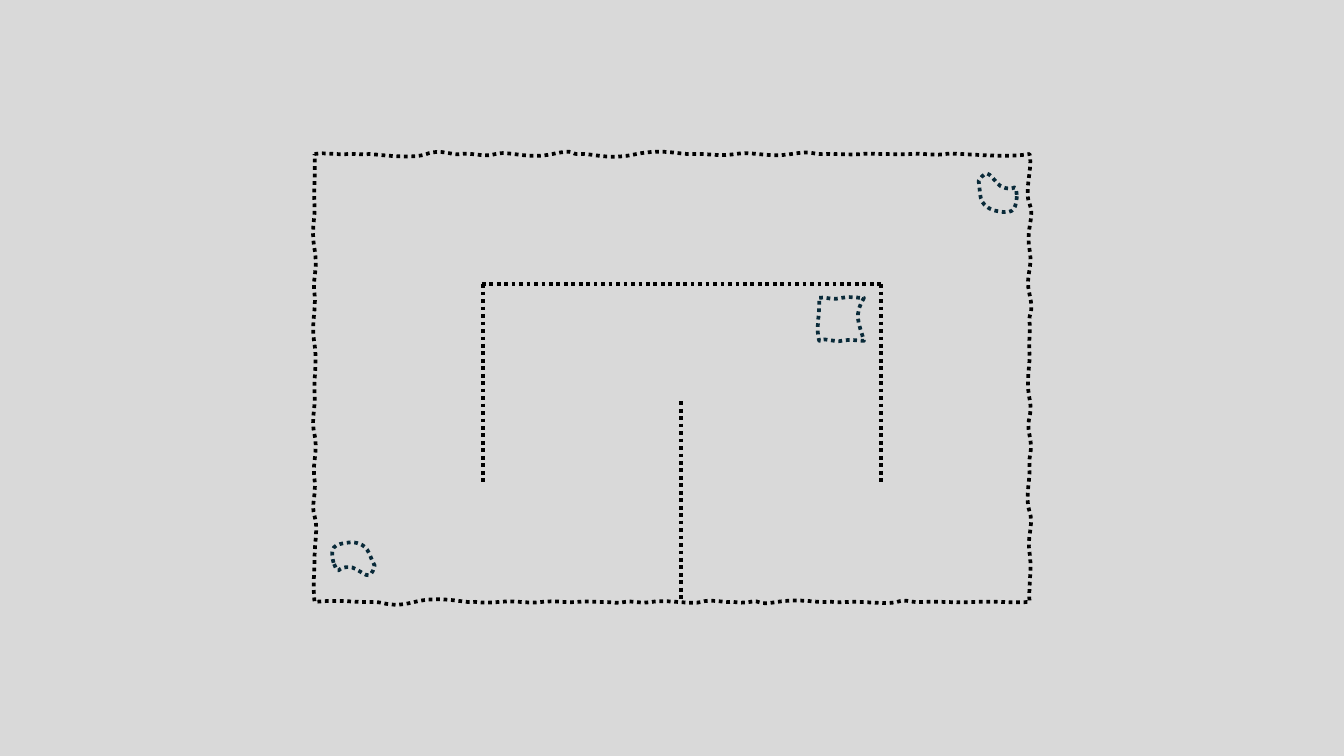
from dataclasses import dataclass

from lxml import etree
from pptx import Presentation
from pptx import util as u
from pptx.dml import color
from pptx.enum import dml, shapes
from pptx.oxml import ns

Pt = u.Pt


@dataclass(frozen=True)
class Theme:
    ground: str = "D9D9D9"
    wall: str = "000000"
    stone: str = "092A39"
    stroke: float = 4


THEME = Theme()

# Edge rows: first control (along, wobble), second control (along, wobble), end along.
TOP_EDGE = [
    (13, -2, 19, 1, 37), (55, 0, 55, 1, 59), (64, 0, 104, 6, 120),
    (136, -6, 147, 2, 157), (167, -2, 182, 4, 194), (207, -4, 228, 6, 255),
    (282, -6, 273, 1, 284), (297, -1, 315, 7, 345), (375, -6, 392, 1, 405),
    (420, -1, 431, 3, 451), (471, -3, 485, 4, 511), (536, -4, 531, 1, 549),
    (566, 0, 578, 1, 586), (593, -1, 626, 1, 639), (652, -1, 667, 2, 676),
    (685, -2, 739, 5, 766),
]
RIGHT_EDGE = [
    (12, 4, 40, -6, 53), (68, 6, 79, -4, 102), (124, 4, 129, -5, 150),
    (172, 5, 170, -1, 179), (189, 1, 203, -1, 214), (225, 1, 242, -4, 262),
    (282, 4, 282, -4, 301), (320, 4, 320, -1, 335), (349, 1, 369, -5, 383),
    (397, 5, 410, -3, 427), (444, 3, 459, -1, 480),
]
BOTTOM_EDGE = [
    (739, 1, 733, -1, 706), (679, 1, 672, -1, 653), (634, 1, 636, -4, 624),
    (611, 3, 590, -1, 570), (551, 1, 558, -1, 549), (539, 1, 521, -4, 495),
    (471, 4, 480, -3, 466), (452, 2, 451, -1, 444), (436, 0, 423, -3, 414),
    (405, 3, 376, -3, 361), (347, 2, 338, -2, 332), (325, 2, 319, 0, 310),
    (300, 0, 293, -1, 280), (266, 1, 260, -2, 243), (225, 2, 219, -2, 197),
    (176, 2, 174, -1, 168), (161, 1, 134, -7, 107), (80, 7, 73, -1, 62),
    (50, 1, 25, -3, 0),
]
LEFT_EDGE = [
    (461, -2, 447, 0, 432), (416, 0, 401, 4, 388), (375, -4, 366, 2, 349),
    (332, -3, 318, 4, 301), (283, -4, 276, 1, 257), (238, -1, 226, 3, 204),
    (181, -4, 166, 2, 150), (136, -3, 125, 4, 102), (79, -4, 69, 1, 54),
    (39, -1, 21, 1, 0),
]
PEBBLE = [
    (1, 22),
    (-3, 5), (0, 2), (20, 0),
    (39, 1), (38, 12), (45, 25),
    (40, 44), (34, 32), (21, 27),
    (1, 24), (9, 40), (1, 22),
]
SLAB = [
    (0, 1),
    (6, -1), (12, 4), (24, 1),
    (36, -1), (37, 1), (48, 1),
    (37, 20), (42, 26), (48, 47),
    (41, 47), (34, 45), (24, 47),
    (17, 49), (6, 43), (0, 47),
    (-4, 34), (1, 18), (0, 1),
]


def dot(line, tint):
    line.color.rgb = color.RGBColor.from_string(tint)
    line.width = Pt(THEME.stroke)
    line.dash_style = dml.MSO_LINE.ROUND_DOT


def add_outline(parts, box, curve, tint, turn=0):
    left, top, width, height = box
    builder = parts.build_freeform(0, 0)
    builder.add_line_segments([(Pt(width), 0), (Pt(width), Pt(height)), (0, Pt(height))])
    outline = builder.convert_to_shape(Pt(left), Pt(top))

    route = outline._element.xpath(".//a:path")[0]
    for step in list(route):
        route.remove(step)
    segments = [("a:moveTo", curve[:1])]
    segments += [("a:cubicBezTo", curve[i:i + 3]) for i in range(1, len(curve), 3)]
    for tag, points in segments:
        step = etree.SubElement(route, ns.qn(tag))
        for x, y in points:
            etree.SubElement(step, ns.qn("a:pt"), x=str(Pt(x)), y=str(Pt(y)))
    etree.SubElement(route, ns.qn("a:close"))

    outline.rotation = turn
    outline.shadow.inherit = False
    outline.fill.background()
    dot(outline.line, tint)


def add_wall(parts, box, start, end):
    left, top = box[:2]
    wall = parts.add_connector(
        shapes.MSO_CONNECTOR.STRAIGHT,
        Pt(left + start[0]), Pt(top + start[1]),
        Pt(left + end[0]), Pt(top + end[1]),
    )
    etree.SubElement(wall._element.spPr, ns.qn("a:effectLst"))
    dot(wall.line, THEME.wall)


def add_boundary(parts, box):
    width, height = box[2:]
    curve = [(0, 0)]
    for base, edge in ((0, TOP_EDGE), (height, BOTTOM_EDGE)):
        across = [p for a, da, b, db, end in edge
                  for p in ((a, base + da), (b, base + db), (end, base))]
        curve += across
        if edge is TOP_EDGE:
            curve += [p for a, da, b, db, end in RIGHT_EDGE
                      for p in ((width + da, a), (width + db, b), (width, end))]
    curve += [p for a, da, b, db, end in LEFT_EDGE
              for p in ((da, a), (db, b), (0, end))]
    add_outline(parts, box, curve, THEME.wall)


def add_walls(parts, box):
    west, east, north, south = 180.8, 607, 139.6, 354.2
    for x in (west, east):
        add_wall(parts, box, (x, north), (x, south))
    add_wall(parts, box, (west - 1.5, north), (east, north))
    add_wall(parts, box, (393, 265), (393, box[3]))


def add_stones(parts, box):
    left, top = box[:2]
    for x, y, width, height, curve, turn in (
        (19.4, 416, 45.4, 34.6, PEBBLE, 0),
        (540.7, 153.2, 48, 47.5, SLAB, 0),
        (707.7, 25.8, 45.4, 34.6, PEBBLE, 197.8),
    ):
        add_outline(parts, (left + x, top + y, width, height), curve, THEME.stone, turn)


def add_plan(slide, box):
    parts = slide.shapes.add_group_shape().shapes
    add_boundary(parts, box)
    add_walls(parts, box)
    add_stones(parts, box)


def main():
    deck = Presentation()
    deck.slide_width, deck.slide_height = Pt(1440), Pt(810)
    slide = deck.slides.add_slide(deck.slide_layouts[6])
    slide.background.fill.solid()
    slide.background.fill.fore_color.rgb = color.RGBColor.from_string(THEME.ground)
    add_plan(slide, (337, 165, 766, 480))
    deck.save("out.pptx")


if __name__ == "__main__":
    main()
